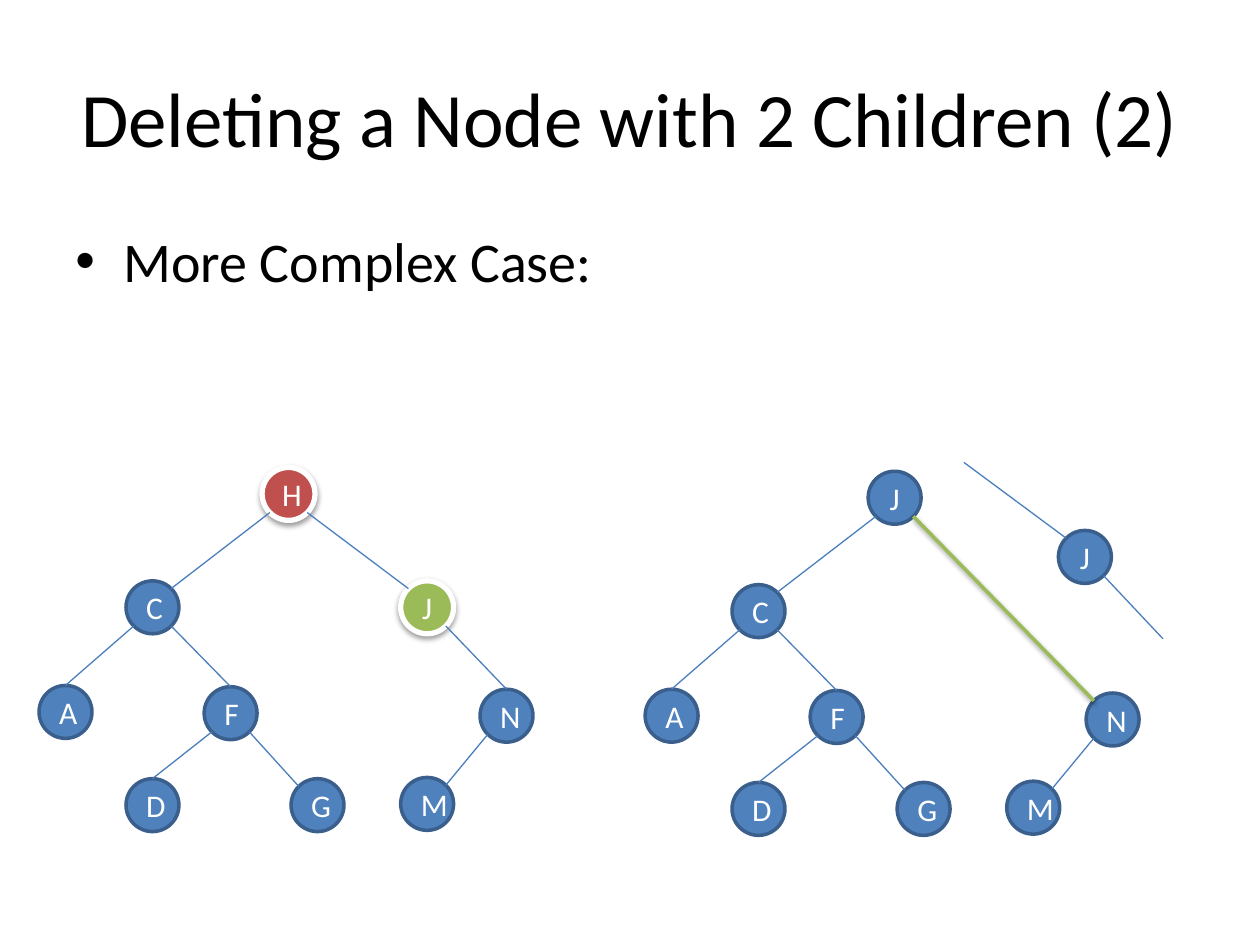
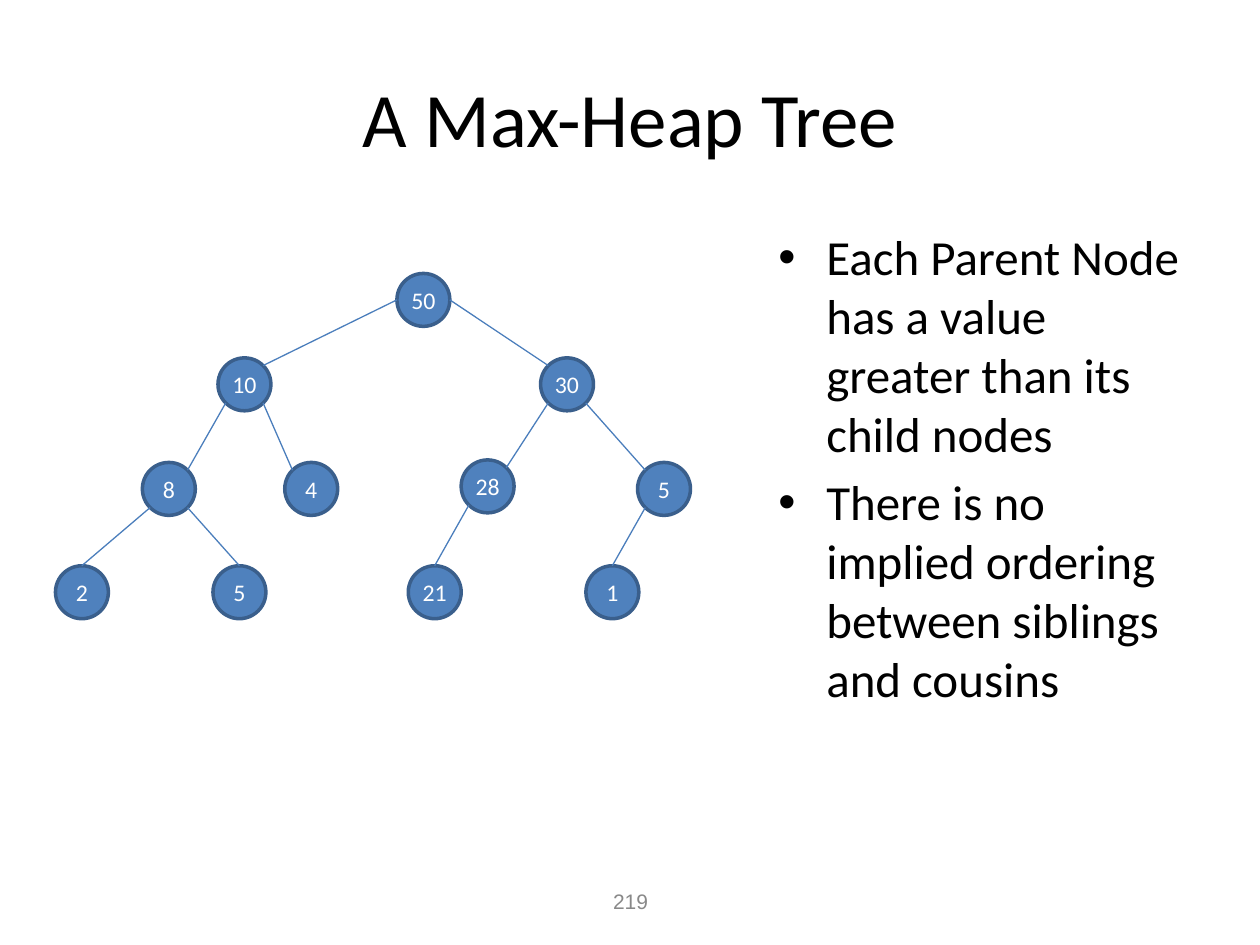
from math import cos, radians, sin

from lxml import etree
from pptx import Presentation
from pptx.dml.color import RGBColor
from pptx.enum.shapes import MSO_CONNECTOR, MSO_SHAPE
from pptx.enum.text import MSO_ANCHOR, PP_ALIGN
from pptx.oxml.ns import qn
from pptx.util import Inches, Pt

BLACK, WHITE, GREY = "000000", "FFFFFF", "898989"
BLUE, DARK_BLUE, EDGE_BLUE = "4F81BD", "3A5F8C", "4B7EBC"
RED, GREEN = "C0504D", "9BBB59"

NODE_SIZE = 0.42
SITE_ANGLES = {"r": 0, "br": 45, "b": 90, "bl": 135,
               "l": 180, "tl": 225, "t": 270, "tr": 315}

LETTERS = {"H": (2.08, 3.71), "C": (1, 4.61), "J": (3.18, 4.61),
           "A": (0.31, 5.44), "F": (1.62, 5.45), "N": (3.81, 5.47),
           "D": (1, 6.18), "G": (2.31, 6.18), "M": (3.18, 6.17)}
LEFT_EDGES = ["C bl A t", "C br F t", "F bl D t", "F br G tl", "N bl M tr"]
AFTER_SHIFT = (4.81, 0.03)

HEAP = {"50": (3.15, 2.17), "10": (1.73, 2.84), "30": (4.29, 2.84),
        "8": (1.13, 3.67), "4": (2.26, 3.67), "28": (3.66, 3.65),
        "5_right": (5.06, 3.67), "2": (0.44, 4.49), "5_left": (1.69, 4.49),
        "21": (3.24, 4.49), "1": (4.65, 4.49)}
HEAP_EDGES = ["50 l 10 tr", "50 r 30 tl", "10 bl 8 tr", "10 br 4 tl",
              "30 bl 28 tr", "30 br 5_right tl", "8 bl 2 t",
              "8 br 5_left t", "28 bl 21 t", "5_right bl 1 t"]


def rgb(value):
    """Turn a hex string into a colour."""
    return RGBColor.from_string(value)


def add_bullet(p):
    """Give a paragraph a hanging round bullet."""
    pPr = p._p.get_or_add_pPr()
    pPr.set("marL", str(Inches(0.38)))
    pPr.set("indent", str(-Inches(0.38)))
    etree.SubElement(pPr, qn("a:buFont"), typeface="Arial")
    etree.SubElement(pPr, qn("a:buChar"), char="•")


def write(tf, *texts, size=18, color=BLACK, font="Calibri",
          align=PP_ALIGN.CENTER, anchor=MSO_ANCHOR.MIDDLE, bullet=False):
    """Fill a text frame with one paragraph for each text."""
    tf.word_wrap = True
    tf.vertical_anchor = anchor
    for i, text in enumerate(texts):
        p = tf.add_paragraph() if i else tf.paragraphs[0]
        p.alignment = align
        if bullet:
            add_bullet(p)
        if i:
            p.space_before = Pt(0.2 * size)
        r = p.add_run()
        r.text = text
        r.font.size, r.font.name = Pt(size), font
        r.font.color.rgb = rgb(color)


def add_text(s, box, *texts, **style):
    """Add a text box at left, top, width, height."""
    write(s.shapes.add_textbox(*map(Inches, box)).text_frame, *texts, **style)


def add_title(s, text):
    """Add the slide title."""
    add_text(s, (0.5, 0.3, 9, 1.25), text, size=44)


def add_bullets(s, box, *texts, size):
    """Add a bulleted list."""
    add_text(s, box, *texts, size=size, align=PP_ALIGN.LEFT,
             anchor=MSO_ANCHOR.TOP, bullet=True)


def add_shadow(effects):
    """Put a soft downward shadow in an effect list."""
    shadow = etree.SubElement(effects, qn("a:outerShdw"), blurRad=str(Pt(3.1)),
                              dist=str(Pt(1.6)), dir="5400000", rotWithShape="0")
    color = etree.SubElement(shadow, qn("a:srgbClr"), val=BLACK)
    etree.SubElement(color, qn("a:alpha"), val="38000")


def add_node(s, label, place, fill=BLUE, size=18, tight=False):
    """Add a round tree node; a fill other than blue marks it."""
    sp = s.shapes.add_shape(MSO_SHAPE.OVAL, *map(Inches, (*place, NODE_SIZE, NODE_SIZE)))
    marked = fill != BLUE
    sp.fill.solid()
    sp.fill.fore_color.rgb = rgb(fill)
    sp.line.color.rgb = rgb(WHITE if marked else DARK_BLUE)
    sp.line.width = Pt(3 if marked else 2)
    sp.shadow.inherit = False
    if marked:
        add_shadow(sp._element.spPr.find(qn("a:effectLst")))
    tf = sp.text_frame
    if tight:
        tf.margin_left = tf.margin_right = 0
    write(tf, label, size=size, color=WHITE)


def add_edge(s, start, end, color=EDGE_BLUE, width=0.75, shadow=False):
    """Add a straight line between two points."""
    line = s.shapes.add_connector(MSO_CONNECTOR.STRAIGHT, *map(Inches, (*start, *end)))
    line.line.color.rgb = rgb(color)
    line.line.width = Pt(width)
    effects = etree.SubElement(line._element.spPr, qn("a:effectLst"))
    if shadow:
        add_shadow(effects)


def site(place, name):
    """Find a connection point on the rim of a node."""
    angle, radius = radians(SITE_ANGLES[name]), NODE_SIZE / 2
    return (place[0] + radius * (1 + cos(angle)),
            place[1] + radius * (1 + sin(angle)))


def add_tree(s, nodes, edges, fills=None, **style):
    """Add labelled nodes and the edges between their sites."""
    for name, place in nodes.items():
        add_node(s, name.split("_")[0], place, (fills or {}).get(name, BLUE), **style)
    for edge in edges:
        parent, out, child, into = edge.split()
        add_edge(s, site(nodes[parent], out), site(nodes[child], into))


def build_deletion(s):
    """Show the tree before and after its root is deleted."""
    add_title(s, "Deleting a Node with 2 Children (2)")
    add_bullets(s, (0.5, 1.75, 9, 1.69), "More Complex Case:", size=32)
    add_tree(s, LETTERS, LEFT_EDGES + ["H bl C tr", "H br J tl", "J br N t"],
             {"H": RED, "J": GREEN})

    dx, dy = AFTER_SHIFT
    after = {name: (x + dx, y + dy) for name, (x, y) in LETTERS.items()}
    after["J"] = after.pop("H")
    add_tree(s, after, LEFT_EDGES + ["J bl C tr"])

    removed = (8.4, 4.21)
    add_node(s, "J", removed)
    add_edge(s, (7.65, 3.67), site(removed, "tl"))
    add_edge(s, site(removed, "br"), (9.23, 5.07))
    add_edge(s, site(after["J"], "br"), site(after["N"], "tl"),
             color=GREEN, width=2, shadow=True)


def build_heap(s):
    """Show a max-heap with its rules."""
    add_title(s, "A Max-Heap Tree")
    add_bullets(s, (6.08, 1.75, 3.42, 4.95),
                "Each Parent Node has a value greater than its child nodes",
                "There is no implied ordering between siblings and cousins", size=28)
    add_text(s, (3.42, 6.95, 3.17, 0.4), "219", size=12, color=GREY, font="Arial")
    add_tree(s, HEAP, HEAP_EDGES, size=13.6, tight=True)


def main():
    """Build and save the slides."""
    prs = Presentation()
    prs.slide_width, prs.slide_height = Inches(10), Inches(7.5)
    for build in (build_deletion, build_heap):
        build(prs.slides.add_slide(prs.slide_layouts[6]))
    prs.save("out.pptx")


if __name__ == "__main__":
    main()
